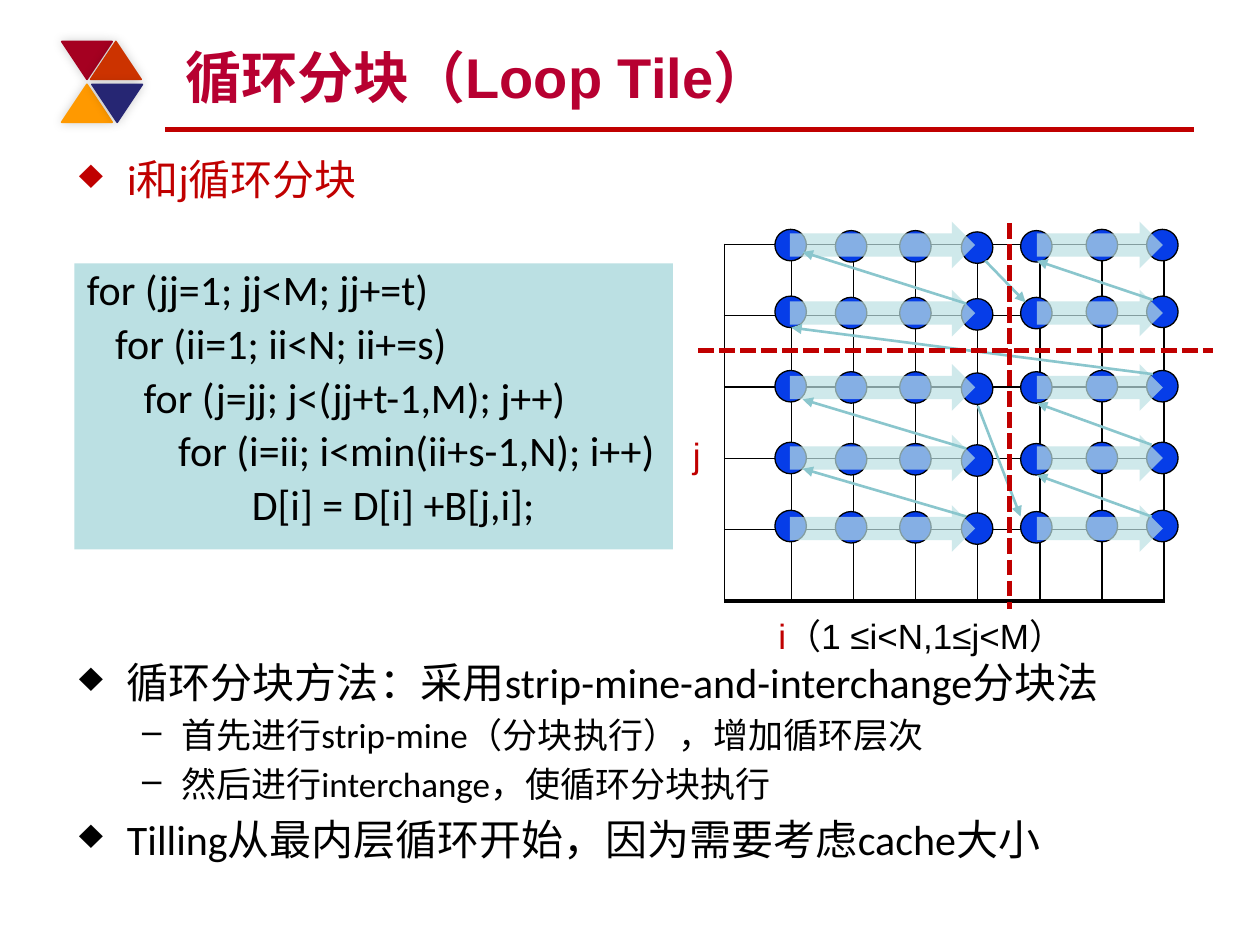
from lxml import etree
from pptx import Presentation
from pptx.dml.color import RGBColor
from pptx.enum.dml import MSO_LINE
from pptx.enum.shapes import MSO_CONNECTOR, MSO_SHAPE
from pptx.enum.text import MSO_ANCHOR, PP_ALIGN
from pptx.oxml import parse_xml
from pptx.oxml.ns import nsdecls, qn
from pptx.util import Inches, Pt

STRAIGHT = MSO_CONNECTOR.STRAIGHT
TRIANGLE, OVAL = MSO_SHAPE.ISOSCELES_TRIANGLE, MSO_SHAPE.OVAL
RECTANGLE, RIGHT_ARROW = MSO_SHAPE.RECTANGLE, MSO_SHAPE.RIGHT_ARROW
TOP, BOTTOM = MSO_ANCHOR.TOP, MSO_ANCHOR.BOTTOM
LEFT, SYS_DASH = PP_ALIGN.LEFT, MSO_LINE.SQUARE_DOT

BLACK = RGBColor(0x00, 0x00, 0x00)
RED = RGBColor(0xC0, 0x00, 0x00)
CRIMSON = RGBColor(0xB7, 0x00, 0x31)
BLUE = RGBColor(0x06, 0x3D, 0xE8)
PALE_TEAL = RGBColor(0xBB, 0xE0, 0xE3)
TEAL = RGBColor(0x8A, 0xC6, 0xCD)

TITLE = "循环分块（Loop Tile）"

# left, top, rotation, colour
ORNAMENT = [
    (0.49, 0.33, 180, RGBColor(0xA5, 0x00, 0x21)),
    (0.72, 0.33, 0, RGBColor(0xCC, 0x33, 0x00)),
    (0.49, 0.67, 0, RGBColor(0xFF, 0x99, 0x00)),
    (0.73, 0.67, 180, RGBColor(0x26, 0x26, 0x73)),
]

# level, text
CODE = [
    (0, "for (jj=1; jj<M; jj+=t)"),
    (0, "   for (ii=1; ii<N; ii+=s)"),
    (0, "      for (j=jj; j<(jj+t-1,M); j++)"),
    (1, "   for (i=ii; i<min(ii+s-1,N); i++)"),
    (1, "\t\tD[i] = D[i] +B[j,i];"),
]
HEADING = [(0, "i和j循环分块")]
METHOD = [
    (0, "循环分块方法：采用strip-mine-and-interchange分块法"),
    (1, "首先进行strip-mine（分块执行），增加循环层次"),
    (1, "然后进行interchange，使循环分块执行"),
    (0, "Tilling从最内层循环开始，因为需要考虑cache大小"),
]
LEVELS = [
    {"margin": 0.38, "indent": -0.38, "bullet": "♦", "size": 24},
    {"margin": 0.81, "indent": -0.31, "bullet": "–", "size": 20},
]

# Iteration space
GRID_ROWS, GRID_COLUMNS = 5, 7
GRID_LEFT, GRID_TOP, GRID_WIDTH, GRID_HEIGHT = 5.75, 1.94, 3.49, 2.83
FIRST_COLUMN = 0.53
DOT = 0.25
DOT_ROWS = [1.82, 2.35, 2.94, 3.51, 4.05]
DOT_COLUMNS = [(6.15, 0), (6.63, 0.01), (7.14, 0.01), (7.63, 0.02),
               (8.10, 0.01), (8.62, 0), (9.10, 0)]  # left, vertical shift
SWEEP_ROWS = [1.76, 2.30, 2.89, 3.45, 4.01]
SWEEPS = [(6.27, 1.47), (8.23, 1.0)]  # left, width
JUMPS = [  # from x, y to x, y
    (7.67, 4.10, 6.37, 3.72), (7.67, 3.56, 6.37, 3.17),
    (7.76, 3.22, 8.10, 4.10), (7.67, 2.41, 6.37, 2.00),
    (9.14, 4.10, 8.23, 3.77), (9.14, 3.53, 8.23, 3.20),
    (9.15, 2.97, 6.28, 2.60), (9.15, 2.38, 8.23, 2.07),
    (7.82, 2.07, 8.14, 2.40),
]
TILE_EDGES = [(8.01, 1.77, 8.01, 4.83), (5.54, 2.78, 9.63, 2.78)]


def add_shape(slide, kind, box, fill, line=None, width=1):
    shape = slide.shapes.add_shape(kind, *map(Inches, box))
    shape.shadow.inherit = False
    shape.fill.solid()
    shape.fill.fore_color.rgb = fill
    if line is None:
        shape.line.fill.background()
    else:
        shape.line.color.rgb = line
        shape.line.width = Pt(width)
    return shape


def add_line(slide, ends, color, width, dash=None, arrow=False):
    line = slide.shapes.add_connector(STRAIGHT, *map(Inches, ends))
    line.line.color.rgb = color
    line.line.width = Pt(width)
    if dash:
        line.line.dash_style = dash
    if arrow:
        etree.SubElement(line.line._get_or_add_ln(), qn("a:tailEnd"), type="triangle")
    etree.SubElement(line._element.spPr, qn("a:effectLst"))


def add_run(paragraph, text, size, color, name, bold=False):
    run = paragraph.add_run()
    run.text = text
    font = {"size": Pt(size), "name": name, "bold": bold}
    for key, value in font.items():
        setattr(run.font, key, value)
    run.font.color.rgb = color


def add_text_box(slide, box):
    frame = slide.shapes.add_textbox(*map(Inches, box)).text_frame
    frame.word_wrap = True
    return frame


def fill_outline(frame, lines, color, size=None, spacing=None, bullets=True):
    """Write indented lines; a given size applies to every level."""
    for index, (level, text) in enumerate(lines):
        style = LEVELS[level]
        points = size or style["size"]
        paragraph = frame.paragraphs[0] if index == 0 else frame.add_paragraph()
        properties = paragraph._p.get_or_add_pPr()
        properties.set("marL", str(Inches(style["margin"])))
        properties.set("indent", str(Inches(style["indent"])))
        if bullets:
            etree.SubElement(properties, qn("a:buChar"), char=style["bullet"])
        layout = {"level": level, "alignment": LEFT, "line_spacing": spacing,
                  "space_before": Pt(0.2 * points) if index else Pt(0)}
        for key, value in layout.items():
            setattr(paragraph, key, value)
        add_run(paragraph, text, points, color, "Calibri")


def set_borders(cell, widths):
    properties = cell._tc.get_or_add_tcPr()
    for index, (side, width) in enumerate(widths.items()):
        properties.insert(index, parse_xml(
            f'<a:ln{side} {nsdecls("a")} w="{Pt(width)}"><a:solidFill>'
            f'<a:srgbClr val="{BLACK}"/></a:solidFill></a:ln{side}>'))


def add_grid(slide):
    box = (GRID_LEFT, GRID_TOP, GRID_WIDTH, GRID_HEIGHT)
    table = slide.shapes.add_table(GRID_ROWS, GRID_COLUMNS, *map(Inches, box)).table
    table.first_row = table.horz_banding = False
    for index, column in enumerate(table.columns):
        rest = (GRID_WIDTH - FIRST_COLUMN) / (GRID_COLUMNS - 1)
        column.width = Inches(rest if index else FIRST_COLUMN)
    for index, row in enumerate(table.rows):
        row.height = Inches(GRID_HEIGHT / GRID_ROWS)
        bottom = 2.25 if index == GRID_ROWS - 1 else 1
        for cell in row.cells:
            cell.fill.background()
            set_borders(cell, {"L": 1, "R": 1, "T": 1, "B": bottom})


def add_iteration_space(slide):
    axis_j = add_text_box(slide, (5.4, 3.39, 0.35, 0.44))
    add_run(axis_j.paragraphs[0], "j", 20, RED, "Arial")
    add_grid(slide)
    axis_i = add_text_box(slide, (6.08, 4.83, 3.16, 0.44)).paragraphs[0]
    add_run(axis_i, "i", 20, RED, "Arial")
    add_run(axis_i, "（1 ≤i<N,1≤j<M）", 20, BLACK, "Arial")
    for left, shift in DOT_COLUMNS:
        for top in DOT_ROWS:
            add_shape(slide, OVAL, (left, top + shift, DOT, DOT), BLUE, BLACK, 0.75)
    for left, width in SWEEPS:
        for top in SWEEP_ROWS:
            arrow = add_shape(slide, RIGHT_ARROW, (left, top, width, 0.37), PALE_TEAL)
            color = arrow._element.spPr.find(".//" + qn("a:srgbClr"))
            etree.SubElement(color, qn("a:alpha"), val="70000")
    for ends in JUMPS:
        add_line(slide, ends, TEAL, 1.5, arrow=True)
    for ends in TILE_EDGES:
        add_line(slide, ends, RED, 3, dash=SYS_DASH)


def add_header(slide):
    add_line(slide, (1.31, 1.03, 9.48, 1.03), RED, 3)
    for left, top, rotation, color in ORNAMENT:
        triangle = add_shape(slide, TRIANGLE, (left, top, 0.4, 0.3), color, color)
        triangle.rotation = rotation
        effects = triangle._element.spPr.find(qn("a:effectLst"))
        effects.append(parse_xml(
            f'<a:outerShdw {nsdecls("a")} blurRad="{Pt(6)}" dir="18900000">'
            '<a:srgbClr val="000000"><a:alpha val="20000"/></a:srgbClr></a:outerShdw>'))
    title = slide.shapes.title
    title.left, title.top, title.width, title.height = map(Inches, (1.37, 0.25, 8, 0.67))
    title.text_frame.vertical_anchor = BOTTOM
    paragraph = title.text_frame.paragraphs[0]
    paragraph.alignment = LEFT
    add_run(paragraph, TITLE, 32, CRIMSON, "Arial", bold=True)


def main():
    presentation = Presentation()
    presentation.slide_width, presentation.slide_height = Inches(10), Inches(7.5)
    slide = presentation.slides.add_slide(presentation.slide_layouts[5])
    add_header(slide)
    code = add_shape(slide, RECTANGLE, (0.59, 2.09, 4.75, 2.27), PALE_TEAL).text_frame
    code.vertical_anchor = TOP
    code.word_wrap = True
    fill_outline(code, CODE, BLACK, size=24, spacing=0.9, bullets=False)
    add_iteration_space(slide)
    fill_outline(add_text_box(slide, (0.53, 1.17, 3.82, 0.6)), HEADING, RED)
    fill_outline(add_text_box(slide, (0.53, 5.16, 8.97, 2.09)), METHOD, BLACK)
    presentation.save("out.pptx")


if __name__ == "__main__":
    main()
